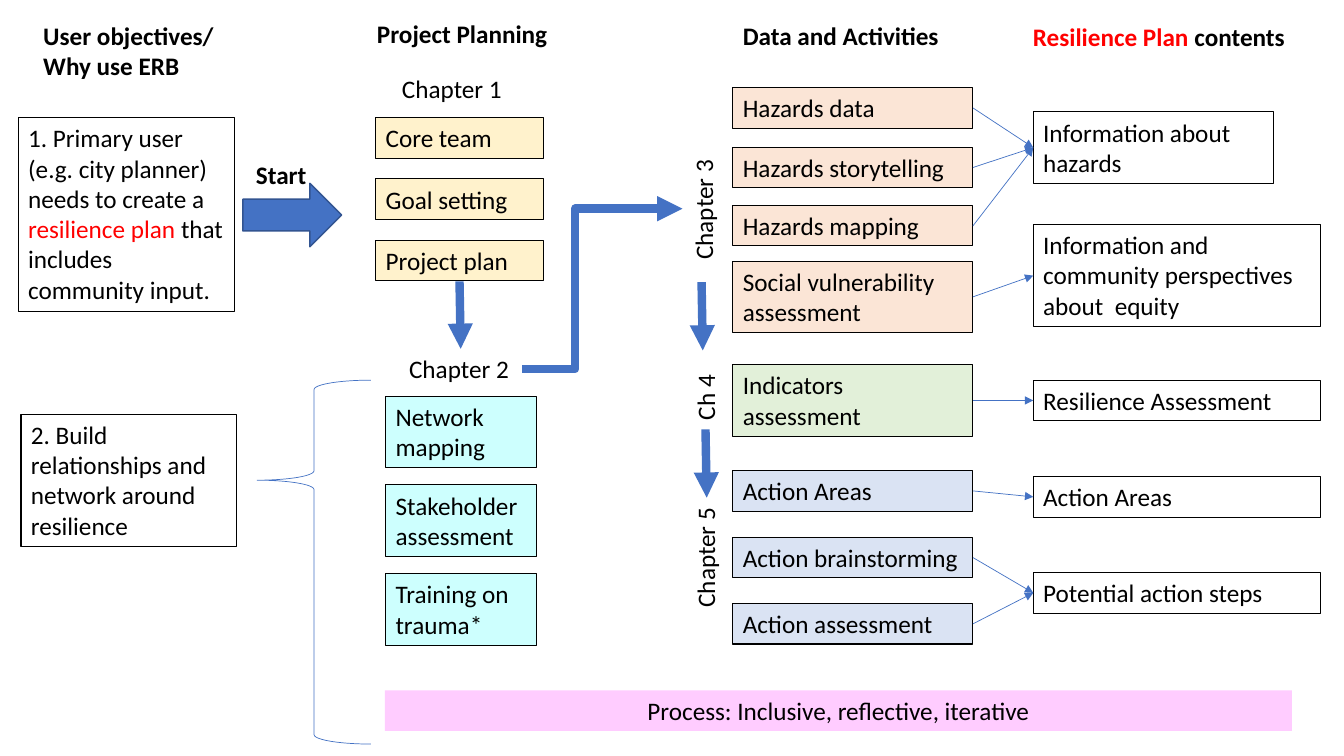
from lxml.etree import SubElement
from pptx import Presentation
from pptx.dml.color import RGBColor
from pptx.enum.shapes import MSO_CONNECTOR as Link, MSO_SHAPE as Preset
from pptx.enum.text import MSO_ANCHOR as Anchor, PP_ALIGN as Align
from pptx.oxml.ns import qn
from pptx.util import Cm, Pt

BLACK, RED, BLUE = "000000", "FF0000", "4472C4"
PEACH, GREEN, PALE_BLUE = "FBE5D6", "E2F0D9", "DAE3F3"
CREAM, CYAN, PINK = "FFF2CC", "CDFFFE", "FFCCFF"
ONE_LINE, TWO_LINES, THREE_LINES = 1.02, 1.8, 2.57
RIGHT_SITE, LEFT_SITE = 3, 1


def paint(color_format, color):
    color_format.rgb = RGBColor.from_string(color)


def add_label(slide, box, *parts, bold=False, align=Align.LEFT):
    label = slide.shapes.add_textbox(*map(Cm, box))
    frame = label.text_frame
    frame.word_wrap = True
    frame.vertical_anchor = Anchor.TOP
    paragraph = frame.paragraphs[0]
    paragraph.alignment = align
    for part in parts:
        wording, color = part if isinstance(part, tuple) else (part, BLACK)
        run = paragraph.add_run()
        run.text = wording
        run.font.name, run.font.size, run.font.bold = "Calibri", Pt(18), bold
        paint(run.font.color, color)
    return label


def add_card(slide, box, *parts, fill=None):
    card = add_label(slide, box, *parts)
    if fill:
        card.fill.solid()
        paint(card.fill.fore_color, fill)
    paint(card.line.color, BLACK)
    card.line.width = Pt(0.75)
    return card


def add_arrow(slide, ends, width, kind=Link.STRAIGHT, bend=None):
    arrow = slide.shapes.add_connector(kind, *map(Cm, ends))
    paint(arrow.line.color, BLUE)
    arrow.line.width = Pt(width)
    properties = arrow._element.spPr
    SubElement(properties.find(qn("a:ln")), qn("a:tailEnd"), type="triangle")
    SubElement(properties, qn("a:effectLst"))
    if bend:
        adjustments = properties.find(qn("a:prstGeom")).find(qn("a:avLst"))
        SubElement(adjustments, qn("a:gd"), name="adj1", fmla=f"val {bend}")
    return arrow


def add_objectives(slide, left, top):
    add_label(slide, (left + 0.38, top, 5.51, TWO_LINES),
              "User objectives/ Why use ERB", bold=True)
    add_card(slide, (left, top + 2.59, 5.44, 4.88),
             "1. Primary user (e.g. city planner) needs to create a ",
             ("resilience plan ", RED), "that includes community input.")
    add_card(slide, (left + 0.07, top + 10.06, 5.44, 3.33),
             "2. Build relationships and network around resilience")

    start = slide.shapes.add_shape(
        Preset.RIGHT_ARROW, *map(Cm, (left + 5.66, top + 4.24, 2.49, 1.6)))
    start.shadow.inherit = False
    start.fill.solid()
    paint(start.fill.fore_color, BLUE)
    paint(start.line.color, "325491")
    start.line.width = Pt(1)
    add_label(slide, (left + 5.74, top + 3.51, 2.11, ONE_LINE), "Start", bold=True)

    brace = slide.shapes.add_shape(
        Preset.LEFT_BRACE, *map(Cm, (left + 6.02, top + 9.2, 2.87, 9.17)))
    brace.shadow.inherit = False
    brace.fill.background()
    paint(brace.line.color, BLUE)
    brace.line.width = Pt(0.5)
    brace.adjustments[0], brace.adjustments[1] = 0.083, 0.275


def add_planning(slide, left, top):
    add_label(slide, (left, top, 5.51, ONE_LINE), "Project Planning", bold=True)
    add_label(slide, (left + 0.63, top + 1.4, 3.07, ONE_LINE), "Chapter 1")
    for row, step in enumerate(("Core team", "Goal setting", "Project plan")):
        add_card(slide, (left + 0.22, top + 2.64 + 1.54 * row, 4.22, ONE_LINE),
                 step, fill=CREAM)
    add_label(slide, (left + 0.81, top + 8.46, 3.07, ONE_LINE), "Chapter 2")
    for row, step in enumerate(("Network mapping", "Stakeholder assessment",
                                "Training on trauma*")):
        add_card(slide, (left + 0.47, top + 9.65 + 2.24 * row, 3.81, TWO_LINES),
                 step, fill=CYAN)
    add_arrow(slide, (left + 2.33, top + 6.76, left + 2.36, top + 8.46), 6)
    add_arrow(slide, (left + 3.91, top + 8.97, left + 7.95, top + 4.93), 6,
              Link.ELBOW, 33000)


def add_activities(slide, left, top):
    add_label(slide, (left, top, 6.05, ONE_LINE), "Data and Activities", bold=True)
    activities = (
        ("Hazards data", 1.83, ONE_LINE, PEACH),
        ("Hazards storytelling", 3.33, ONE_LINE, PEACH),
        ("Hazards mapping", 4.8, ONE_LINE, PEACH),
        ("Social vulnerability assessment", 6.2, TWO_LINES, PEACH),
        ("Indicators assessment", 8.81, TWO_LINES, GREEN),
        ("Action Areas", 11.48, ONE_LINE, PALE_BLUE),
        ("Action brainstorming", 13.16, ONE_LINE, PALE_BLUE),
        ("Action assessment", 14.83, ONE_LINE, PALE_BLUE),
    )
    cards = [add_card(slide, (left, top + drop, 6.05, height), activity, fill=fill)
             for activity, drop, height, fill in activities]

    chapters = (("Chapter 3", -0.75, 4.88, 3.07),
                ("Ch 4", -0.7, 9.45, 2.01),
                ("Chapter 5", -0.7, 13.16, 4.04))
    for chapter, center, middle, length in chapters:
        label = add_label(slide, (left + center - length / 2,
                                  top + middle - ONE_LINE / 2, length, ONE_LINE), chapter)
        label.rotation = 270
    for shift, drop in ((-0.79, 6.73), (-0.69, 10.44)):
        add_arrow(slide, (left + shift, top + drop,
                          left + shift + 0.03, top + drop + 1.72), 6)
    return cards


def add_contents(slide, left, top):
    add_label(slide, (left - 0.26, top, 7.24, ONE_LINE),
              ("Resilience Plan ", RED), "contents", bold=True)
    contents = (
        ("Information about hazards", 2.41, 6.05, TWO_LINES),
        ("Information and community perspectives about  equity", 5.25, 7.24, THREE_LINES),
        ("Resilience Assessment", 9.17, 7.24, ONE_LINE),
        ("Action Areas", 11.6, 7.24, ONE_LINE),
        ("Potential action steps", 14.02, 7.24, ONE_LINE),
    )
    return [add_card(slide, (left, top + drop, width, height), content)
            for content, drop, width, height in contents]


def link_activities(slide, activities, contents):
    for activity, target in zip(activities, (0, 0, 0, 1, 2, 3, 4, 4)):
        arrow = add_arrow(slide, (0, 0, 1, 1), 0.5)
        arrow.begin_connect(activity, RIGHT_SITE)
        arrow.end_connect(contents[target], LEFT_SITE)


def add_process(slide, left, top):
    process = add_label(slide, (left, top, 22.86, ONE_LINE),
                        "Process: Inclusive, reflective, iterative", align=Align.CENTER)
    process.fill.solid()
    paint(process.fill.fore_color, PINK)


def main():
    deck = Presentation()
    deck.slide_width, deck.slide_height = Cm(33.87), Cm(19.05)
    slide = deck.slides.add_slide(deck.slide_layouts.get_by_name("Blank"))
    add_objectives(slide, 0.46, 0.38)
    add_planning(slide, 9.25, 0.33)
    activities = add_activities(slide, 18.47, 0.38)
    contents = add_contents(slide, 26.04, 0.41)
    link_activities(slide, activities, contents)
    add_process(slide, 9.7, 17.4)
    deck.save("out.pptx")


if __name__ == "__main__":
    main()
